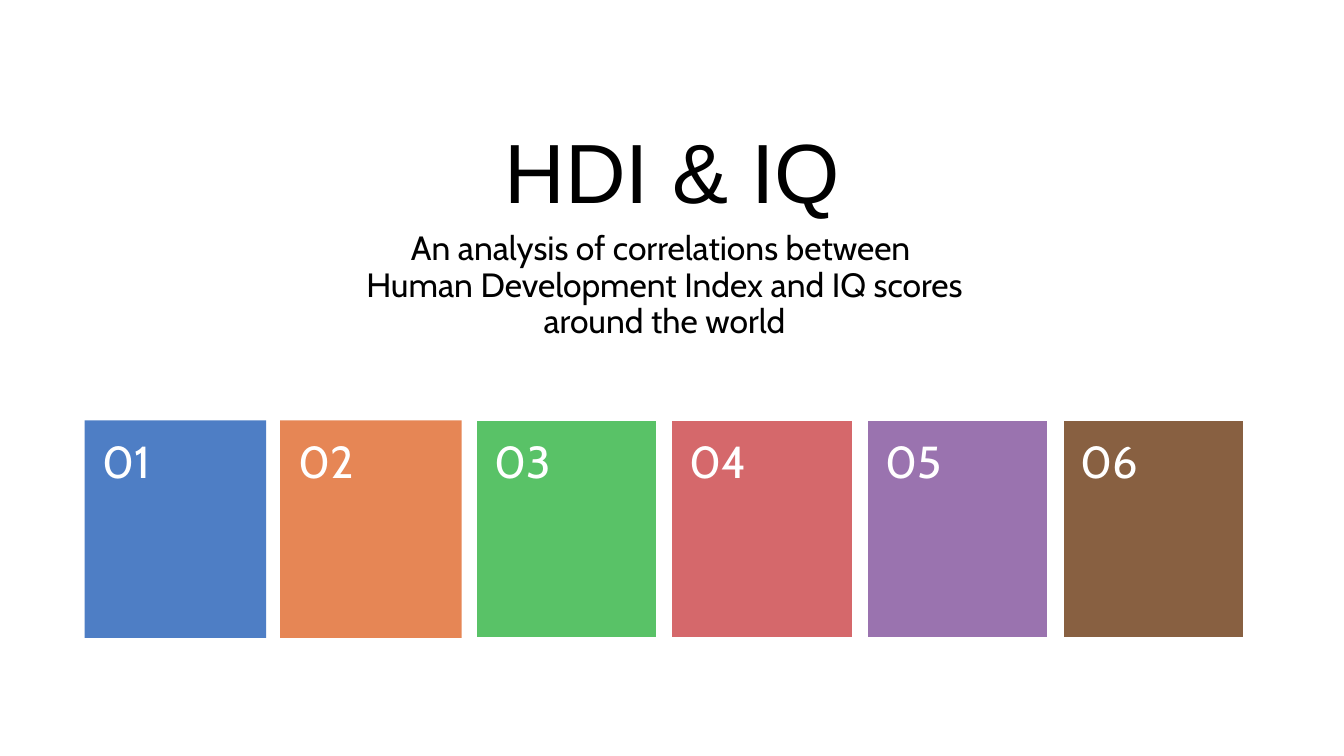
"""Build the HDI & IQ title slide with six numbered colour cards."""
from pptx import Presentation
from pptx import util as u
from pptx.dml.color import RGBColor
from pptx.enum import shapes, text

COLORS = {
    "black": "000000", "white": "FFFFFF",
    "blue": "4E7EC5", "orange": "E68655", "green": "59C267",
    "red": "D5686B", "purple": "9A73AF", "brown": "886041",
}


def rgb(name):
    """Return the colour with this name."""
    return RGBColor.from_string(COLORS[name])


def put_text(tf, content, size, font="Cabin", color="black",
             align=text.PP_ALIGN.LEFT, before=0):
    """Write one formatted paragraph; a vertical tab breaks the line."""
    p = tf.paragraphs[0]
    p.text = content
    p.alignment = align
    p.line_spacing = 0.9
    p.space_before = u.Pt(before)
    for r in p.runs:
        r.font.size = u.Pt(size)
        r.font.name = font
        r.font.color.rgb = rgb(color)


class Deck:
    """Hold the presentation, its style and the current slide."""

    def __init__(self):
        """Start a widescreen deck with one blank slide."""
        self.prs = Presentation()
        self.prs.slide_width = u.Inches(13.33)
        self.prs.slide_height = u.Inches(7.5)
        self.s = self.prs.slides.add_slide(self.prs.slide_layouts[6])

    def textbox(self, box, content, size, anchor=text.MSO_ANCHOR.TOP,
                inset=None, **fmt):
        """Add a wrapped text box."""
        tf = self.s.shapes.add_textbox(*map(u.Inches, box)).text_frame
        tf.word_wrap = True
        tf.vertical_anchor = anchor
        if inset is not None:
            tf.margin_left = tf.margin_right = u.Inches(inset)
            tf.margin_top = tf.margin_bottom = u.Inches(inset)
        put_text(tf, content, size, **fmt)

    def rect(self, box, fill, outlined):
        """Add a filled rectangle, with a white outline if asked."""
        sp = self.s.shapes.add_shape(shapes.MSO_SHAPE.RECTANGLE,
                                     *map(u.Inches, box))
        sp.shadow.inherit = False
        sp.fill.solid()
        sp.fill.fore_color.rgb = rgb(fill)
        if outlined:
            sp.line.color.rgb = rgb("white")
            sp.line.width = u.Pt(1.5)
        else:
            sp.line.fill.background()

    def card(self, number, fill, outlined):
        """Add a colour card with its number at the top."""
        left, top, width = 0.84 + 1.94 * (number - 1), 4.17, 1.8
        self.rect((left, top, width, 2.16), fill, outlined)
        self.textbox((left, top, width, 0.86), f"{number:02d}", 32,
                     anchor=text.MSO_ANCHOR.MIDDLE, inset=0.18, color="white")


def main():
    """Draw the slide and save it."""
    deck = Deck()
    center = text.PP_ALIGN.CENTER
    deck.textbox((1.67, 1.23, 10, 1.02), "HDI & IQ", 60, font="Arial",
                 anchor=text.MSO_ANCHOR.BOTTOM, align=center)
    deck.textbox((1.59, 2.25, 10, 1.81),
                 "An analysis of correlations between \v"
                 "Human Development Index and IQ scores\v"
                 "around the world", 24, align=center, before=10)
    fills = ("blue", "orange", "green", "red", "purple", "brown")
    for number, fill in enumerate(fills, 1):
        deck.card(number, fill, outlined=number > 2)
    deck.prs.save("out.pptx")


if __name__ == "__main__":
    main()
